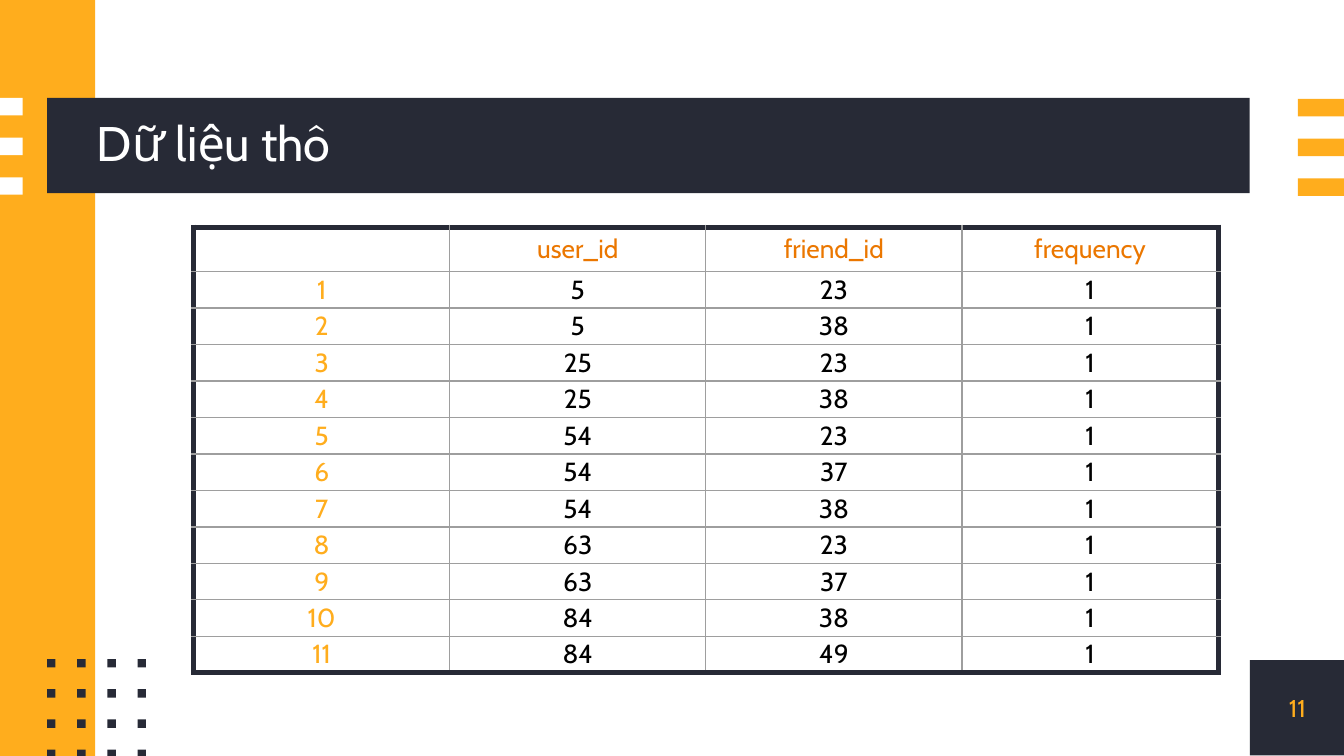
import itertools
from typing import NamedTuple

import pptx
import pptx.dml.color
import pptx.enum.shapes
import pptx.enum.text
import pptx.oxml
import pptx.oxml.ns
import pptx.util

Cm = pptx.util.Cm
Pt = pptx.util.Pt
ALIGN = pptx.enum.text.PP_ALIGN
MIDDLE = pptx.enum.text.MSO_ANCHOR.MIDDLE

FONT = "Cabin"
NAVY, AMBER, ORANGE = "272A36", "FFAD1D", "EB7700"
WHITE, BLACK, GRAY = "FFFFFF", "000000", "9E9E9E"

HEADINGS = ("", "user_id", "friend_id", "frequency")
FRIENDSHIPS = (
    (5, 23, 1), (5, 38, 1), (25, 23, 1), (25, 38, 1), (54, 23, 1), (54, 37, 1),
    (54, 38, 1), (63, 23, 1), (63, 37, 1), (84, 38, 1), (84, 49, 1),
)


class Box(NamedTuple):
    """A rectangle in centimetres."""
    left: float
    top: float
    width: float
    height: float

    def lengths(self) -> list:
        return [Cm(value) for value in self]


class BlockGrid(NamedTuple):
    """Equal blocks repeated at one pitch in both directions."""
    first: Box
    columns: int
    rows: int
    pitch: float
    color: str


PAGE_CORNER = Box(23.62, 12.47, 1.8, 1.8)
TITLE_BAND = Box(0.89, 1.85, 22.73, 1.8)
TITLE_AREA = Box(1.83, 1.85, 21.79, 1.8)
TABLE_AREA = Box(3.66, 4.29, 19.36, 8.43)
HEADING_HEIGHT, ROW_HEIGHT = 0.84, 0.69

DECORATION = (
    BlockGrid(PAGE_CORNER, 1, 1, 0, NAVY),
    BlockGrid(Box(0, 0, 1.8, 14.28), 1, 1, 0, AMBER),
    BlockGrid(TITLE_BAND, 1, 1, 0, NAVY),
    BlockGrid(Box(0, 1.85, 0.43, 0.33), 1, 3, 0.75, WHITE),
    BlockGrid(Box(0.89, 12.45, 0.16, 0.16), 4, 4, 0.57, NAVY),
    BlockGrid(Box(24.53, 1.87, 0.87, 0.33), 1, 3, 0.75, AMBER),
)


def rgb(color: str) -> pptx.dml.color.RGBColor:
    return pptx.dml.color.RGBColor.from_string(color)


def write(frame, text: str, *, size: float, color: str,
          align=ALIGN.CENTER, spacing: float = 1.0) -> None:
    paragraph = frame.paragraphs[0]
    paragraph.alignment = align
    paragraph.line_spacing = spacing
    run = paragraph.add_run()
    run.text = text
    run.font.name = FONT
    run.font.size = Pt(size)
    run.font.color.rgb = rgb(color)


def clear_insets(frame) -> None:
    frame.margin_left = frame.margin_right = 0
    frame.margin_top = frame.margin_bottom = 0
    frame.vertical_anchor = MIDDLE
    frame.word_wrap = True
    frame.auto_size = pptx.enum.text.MSO_AUTO_SIZE.NONE


def draw_blocks(slide, grid: BlockGrid) -> None:
    for row, column in itertools.product(range(grid.rows), range(grid.columns)):
        place = grid.first._replace(left=grid.first.left + column * grid.pitch,
                                    top=grid.first.top + row * grid.pitch)
        block = slide.shapes.add_shape(
            pptx.enum.shapes.MSO_SHAPE.RECTANGLE, *place.lengths())
        block.shadow.inherit = False
        block.fill.solid()
        block.fill.fore_color.rgb = rgb(grid.color)
        block.line.fill.background()


def draw_border(cell, side: str, outer: bool) -> None:
    color, width = (NAVY, Pt(3)) if outer else (GRAY, Pt(0.75))
    cell._tc.get_or_add_tcPr().append(pptx.oxml.parse_xml(
        f'<a:ln{side} {pptx.oxml.ns.nsdecls("a")} w="{width}">'
        f'<a:solidFill><a:srgbClr val="{color}"/></a:solidFill></a:ln{side}>'))


def draw_table(slide, rows: list) -> None:
    last_row, last_column = len(rows) - 1, len(HEADINGS) - 1
    table = slide.shapes.add_table(
        len(rows), len(HEADINGS), *TABLE_AREA.lengths()).table
    table.first_row = table.horz_banding = False
    for column in table.columns:
        column.width = Cm(TABLE_AREA.width / len(HEADINGS))
    for r, values in enumerate(rows):
        table.rows[r].height = Cm(ROW_HEIGHT if r else HEADING_HEIGHT)
        for c, value in enumerate(values):
            cell = table.cell(r, c)
            cell.margin_top = cell.margin_bottom = 0
            cell.vertical_anchor = MIDDLE
            if value != "":
                color = ORANGE if r == 0 else AMBER if c == 0 else BLACK
                write(cell.text_frame, str(value), size=14, color=color)
            # The frame is heavy, the inner grid is thin
            for side, outer in (("L", c == 0), ("R", c == last_column),
                                ("T", r == 0), ("B", r == last_row)):
                draw_border(cell, side, outer)
            cell.fill.background()


def main() -> None:
    deck = pptx.Presentation()
    deck.slide_width, deck.slide_height = Cm(25.4), Cm(14.28)
    slide = deck.slides.add_slide(deck.slide_layouts[5])

    # Side bar, title band, stripes and dots
    for grid in DECORATION:
        draw_blocks(slide, grid)

    # Title, brought in front of its band
    title = slide.shapes.title
    title.left, title.top, title.width, title.height = TITLE_AREA.lengths()
    title.element.getparent().append(title.element)
    clear_insets(title.text_frame)
    write(title.text_frame, "Dữ liệu thô", size=26, color=WHITE,
          align=ALIGN.LEFT, spacing=0.9)

    # Page number
    page_number = slide.shapes.add_textbox(*PAGE_CORNER.lengths())
    clear_insets(page_number.text_frame)
    write(page_number.text_frame, "11", size=13, color=AMBER)

    # Numbered raw data
    numbered = [(n, *record) for n, record in enumerate(FRIENDSHIPS, start=1)]
    draw_table(slide, [HEADINGS, *numbered])

    deck.save("out.pptx")


if __name__ == "__main__":
    main()
